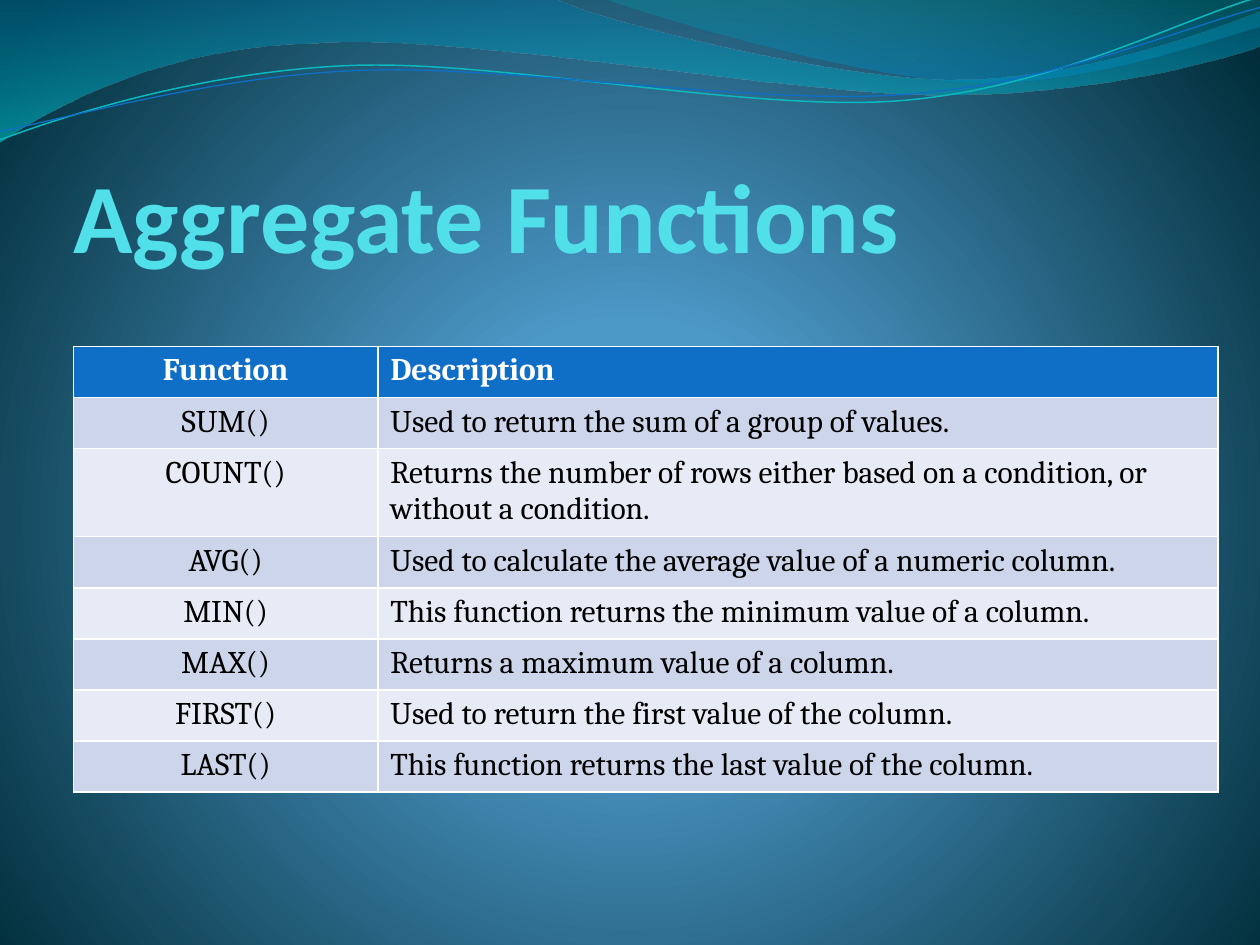
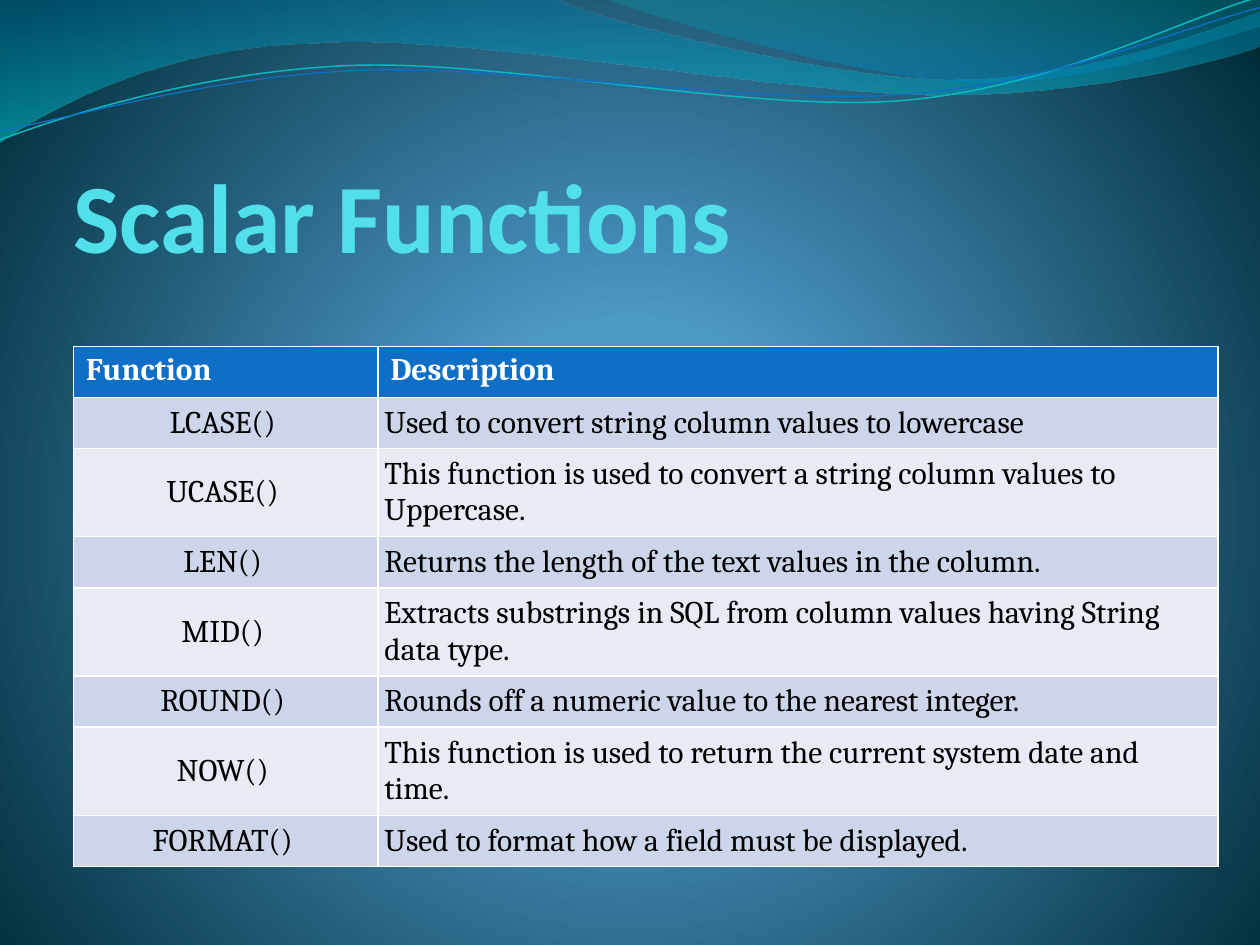
"""Build two slides that list SQL aggregate and scalar functions in tables."""
from math import cos, radians, sin
from lxml.etree import SubElement
from pptx import Presentation
from pptx.dml.color import RGBColor
from pptx.enum.text import MSO_ANCHOR, PP_ALIGN
from pptx.oxml.ns import qn
from pptx.util import Cm, Pt

WHITE = RGBColor(0xFF, 0xFF, 0xFF)
BLACK = RGBColor(0x00, 0x00, 0x00)
AQUA = RGBColor(0x51, 0xE0, 0xEA)
BLUE = RGBColor(0x0F, 0x6F, 0xC6)
TEAL = RGBColor(0x0A, 0xB8, 0xBF)
BANDS = [RGBColor(0xCC, 0xD5, 0xEA), RGBColor(0xE7, 0xEB, 0xF5)]
SKY = [(0, RGBColor(0x4A, 0xA0, 0xD6), 100),
       (25, RGBColor(0x4C, 0x98, 0xC7), 100),
       (100, RGBColor(0x00, 0x2C, 0x38), 100)]
LOW = [(0, RGBColor(0x00, 0x74, 0xA1), 45), (100, RGBColor(0x00, 0xC6, 0xCF), 55)]
HIGH = [(0, RGBColor(0x00, 0xA1, 0xA9), 30), (80, RGBColor(0x00, 0x8B, 0xBF), 45)]

HEAD = ("Function", "Description")
DECK = [
    {"title": "Aggregate Functions", "head": PP_ALIGN.CENTER,
     "anchor": MSO_ANCHOR.TOP, "inset": 0.25,
     "rows": [
         ("SUM()", "Used to return the sum of a group of values."),
         ("COUNT()", "Returns the number of rows either based on a condition, "
                     "or without a condition."),
         ("AVG()", "Used to calculate the average value of a numeric column."),
         ("MIN()", "This function returns the minimum value of a column.\u00a0"),
         ("MAX()", "Returns a maximum value of a column."),
         ("FIRST()", "Used to return the first value of the column."),
         ("LAST()", "This function returns the last value of the column."),
     ]},
    {"title": "Scalar Functions", "head": PP_ALIGN.LEFT,
     "anchor": MSO_ANCHOR.MIDDLE, "inset": 0.13,
     "rows": [
         ("LCASE()", "Used to convert string column values to lowercase"),
         ("UCASE()", "This function is used to convert a string column values "
                     "to Uppercase."),
         ("LEN()", "Returns the length of the text values in the column."),
         ("MID()", "Extracts substrings in SQL from column values having "
                   "String data type."),
         ("ROUND()", "Rounds off a numeric value to the nearest integer."),
         ("NOW()", "This function is used to return the current system date "
                   "and time."),
         ("FORMAT()", "Used to format how a field must be displayed."),
     ]},
]

INCH = 2.54
TILT = 2.7
WAVES = [
    {"fill": LOW, "start": (0, 0), "parts": [
        [(4.4, -0.01)],
        [(4.76, 0.17), (6.64, 0.63), (7.58, 0.63)],
        [(8.53, 0.63), (9.58, 0.26), (10, 0.09)],
        [(10.01, 0.36)],
        [(9.83, 0.44), (8.7, 0.76), (7.46, 0.75)],
        [(6.22, 0.75), (3.82, 0.28), (2.57, 0.34)],
        [(1.29, 0.36), (0.46, 0.83), (-0.01, 1.13)],
        [(0, 0)]]},
    {"fill": HIGH, "start": (4.79, -0.01), "parts": [
        [(5.09, 0.11), (6.82, 0.62), (7.69, 0.65)],
        [(8.56, 0.69), (9.61, 0.32), (10, 0.21)],
        [(10, 0)],
        [(4.79, -0.01)]]},
]
LINES = [
    {"line": (TEAL, 0.85), "mid": (4.99, 0.57), "start": (0, 1.11), "parts": [
        [(0.48, 0.93), (1.58, 0.57), (2.77, 0.52)],
        [(3.95, 0.47), (5.93, 0.89), (7.13, 0.8)],
        [(8.33, 0.71), (9.38, 0.15), (9.98, -0.02)]]},
    {"line": (BLUE, 0.75), "mid": (5, 0.59), "start": (0, 1.04), "parts": [
        [(0.47, 0.96), (1.64, 0.61), (2.83, 0.56)],
        [(4.03, 0.51), (5.97, 0.84), (7.17, 0.75)],
        [(8.36, 0.67), (9.41, 0.21), (10, 0.06)]]},
]

LEFT, TOP = 1.48, 6.98
COLS = (6.14, 16.93)
ROW = 1.03


def add(node, tag, **attrs):
    return SubElement(node, qn(tag), {key: str(val) for key, val in attrs.items()})


def blend(fill, root, stops, round_sky=False):
    fill.gradient()
    grad = next(root.iter(qn("a:gradFill")))
    for child in list(grad):
        grad.remove(child)
    group = add(grad, "a:gsLst")
    for place, color, alpha in stops:
        tint = add(add(group, "a:gs", pos=place * 1000), "a:srgbClr", val=color)
        if alpha < 100:
            add(tint, "a:alpha", val=alpha * 1000)
    if round_sky:
        sweep = add(grad, "a:path", path="circle")
        add(sweep, "a:fillToRect", l=10000, t=110000, r=10000, b=100000)
    else:
        add(grad, "a:lin", ang=90 * 60000, scaled=1)


def turn(point, mid):
    dx, dy = point[0] - mid[0], point[1] - mid[1]
    c, s = cos(radians(TILT)), sin(radians(TILT))
    return mid[0] + dx * c - dy * s, mid[1] + dx * s + dy * c


def bend(shape, parts):
    legs = iter(list(shape.element.iter(qn("a:lnTo"))))
    for part in parts:
        group = [next(legs) for _ in part]
        if len(part) == 3:
            curve = add(group[0].getparent(), "a:cubicBezTo")
            group[0].addprevious(curve)
            for leg in group:
                curve.append(leg[0])
                leg.getparent().remove(leg)


def add_wave(shapes, wave):
    points = [wave["start"], *(spot for part in wave["parts"] for spot in part)]
    if "mid" in wave:
        points = [turn(point, wave["mid"]) for point in points]
    first, *rest = [(Cm(x * INCH), Cm(y * INCH)) for x, y in points]
    pen = shapes.build_freeform(*first)
    pen.add_line_segments(rest, close="fill" in wave)
    shape = pen.convert_to_shape()
    bend(shape, wave["parts"])
    shape.shadow.inherit = False
    if "fill" in wave:
        blend(shape.fill, shape.element, wave["fill"])
        shape.line.fill.background()
    else:
        color, width = wave["line"]
        shape.rotation = 360 - TILT
        shape.fill.background()
        shape.line.color.rgb = color
        shape.line.width = Pt(width)


def dress(master, slide):
    blend(master.background.fill, master.element, SKY, True)
    for wave in WAVES:
        add_wave(slide.shapes, wave)
    group = slide.shapes.add_group_shape()
    for wave in LINES:
        add_wave(group.shapes, wave)
    tree = master.shapes.element if hasattr(master.shapes, "element") else master.shapes._spTree
    for shape in list(slide.shapes):
        tree.append(shape.element)
    for number, tag in enumerate(tree.iter(qn("p:cNvPr")), 1):
        tag.set("id", str(number))


def style(para, name, size, color, bold):
    para.font.name = name
    para.font.size = Pt(size)
    para.font.color.rgb = color
    para.font.bold = bold


def add_title(slide, text):
    frame = slide.shapes.add_textbox(Cm(LEFT), Cm(1.9), Cm(21.81), Cm(3.6)).text_frame
    frame.word_wrap = True
    frame.vertical_anchor = MSO_ANCHOR.BOTTOM
    frame.margin_left = frame.margin_top = frame.margin_bottom = 0
    frame.margin_right = Cm(0.05)
    frame.text = text
    style(frame.paragraphs[0], "Calibri", 56, AQUA, True)


def add_grid(slide, page):
    rows = [HEAD, *page["rows"]]
    table = slide.shapes.add_table(len(rows), len(COLS), Cm(LEFT), Cm(TOP),
                                   Cm(sum(COLS)), Cm(ROW * len(rows))).table
    for col, width in zip(table.columns, COLS):
        col.width = Cm(width)
    for i, row in enumerate(rows):
        table.rows[i].height = Cm(ROW)
        for j, text in enumerate(row):
            cell = table.cell(i, j)
            cell.text = text
            cell.fill.solid()
            cell.fill.fore_color.rgb = BANDS[(i - 1) % 2] if i else BLUE
            para = cell.text_frame.paragraphs[0]
            style(para, "Cambria", 18, BLACK if i else WHITE, i == 0)
            if j == 0:
                para.alignment = PP_ALIGN.CENTER if i else page["head"]
            if i:
                cell.vertical_anchor = page["anchor"]
                cell.margin_left = Cm(page["inset"])


deck = Presentation()
deck.slide_width, deck.slide_height = Cm(25.4), Cm(19.05)
slides = [deck.slides.add_slide(deck.slide_layouts[6]) for page in DECK]
dress(deck.slide_master, slides[0])
for slide, page in zip(slides, DECK):
    add_title(slide, page["title"])
    add_grid(slide, page)
deck.save("out.pptx")
